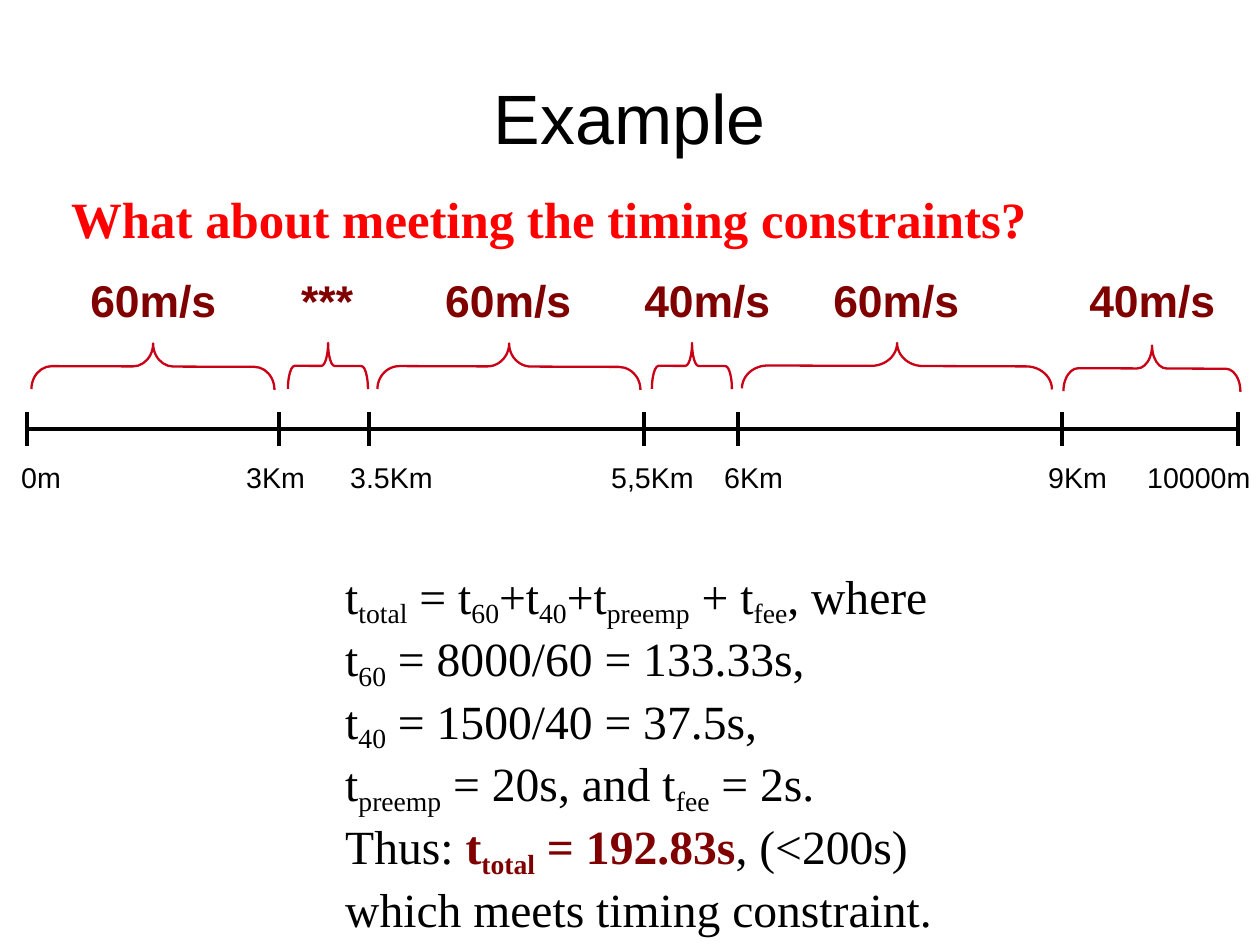
from dataclasses import dataclass
from lxml.etree import SubElement
from pptx import Presentation
from pptx.dml.color import RGBColor
from pptx.enum.shapes import MSO_CONNECTOR, MSO_SHAPE
from pptx.enum.text import MSO_ANCHOR, MSO_AUTO_SIZE, PP_ALIGN
from pptx.oxml.ns import qn
from pptx.slide import Slide
from pptx.util import Pt

PX = 8000
BLACK = RGBColor(0x00, 0x00, 0x00)
RED = RGBColor(0xFF, 0x00, 0x00)
MAROON = RGBColor(0x80, 0x00, 0x00)
CRIMSON = RGBColor(0xC9, 0x00, 0x16)

AXIS = 429
TICK = 17
DEPTH = 46

TITLE = {"name": "Arial", "size": Pt(44)}
SPEED = {"name": "Arial", "size": Pt(28), "bold": True}
PLACE = {"name": "Arial", "size": Pt(18)}
ASK = {"name": "Times New Roman", "size": Pt(32), "bold": True}
BODY = {"name": "Times New Roman", "size": Pt(30), "bold": False}
STRONG = {**BODY, "bold": True}
FRAME = {"word_wrap": False, "auto_size": MSO_AUTO_SIZE.SHAPE_TO_FIT_TEXT}
CENTRED = {"margin_left": 0, "margin_right": 0, "margin_top": 0,
           "margin_bottom": 0, "word_wrap": True,
           "vertical_anchor": MSO_ANCHOR.MIDDLE}


@dataclass
class Mark:
    label: str
    x: int
    left: int
    width: int


@dataclass
class Leg:
    speed: str
    mid: int
    span: int
    left: int
    width: int = 149
    y: int = 366


MARKS = [
    Mark("0m", 27, 10, 64),
    Mark("3Km", 279, 235, 83),
    Mark("3.5Km", 369, 339, 107),
    Mark("5,5Km", 644, 600, 107),
    Mark("6Km", 738, 713, 83),
    Mark("9Km", 1062, 1037, 83),
    Mark("10000m", 1238, 1136, 128),
]
LEGS = [
    Leg("60m/s", 153, 243, 79),
    Leg("***", 328, 80, 290, 76),
    Leg("60m/s", 509, 263, 434),
    Leg("40m/s", 692, 80, 633),
    Leg("60m/s", 897, 310, 822),
    Leg("40m/s", 1152, 177, 1078, y=368),
]
LINES = [
    "t_total_ = t_60_+t_40_+t_preemp_ + t_fee_, where",
    "t_60_ = 8000/60 = 133.33s,",
    "t_40_ = 1500/40 = 37.5s,",
    "t_preemp_ = 20s, and t_fee_ = 2s.",
    "Thus: |t_total_ = 192.83s|, (<200s)",
    "which meets timing constraint.",
]


def apply(item: object, form: dict) -> None:
    for key, value in form.items():
        setattr(item, key, value)


def add_run(para, text: str, form: dict, tint: RGBColor, sub: bool = False) -> None:
    run = para.add_run()
    run.text = text
    apply(run.font, form)
    run.font.color.rgb = tint
    if sub:
        run._r.get_or_add_rPr().set("baseline", "-20000")


def add_box(slide: Slide, left: int, top: int, width: int, height: int,
            frame: dict = FRAME):
    box = slide.shapes.add_textbox(left * PX, top * PX, width * PX, height * PX)
    apply(box.text_frame, frame)
    return box.text_frame


def add_line(slide: Slide, x1: int, y1: int, x2: int, y2: int) -> None:
    line = slide.shapes.add_connector(
        MSO_CONNECTOR.STRAIGHT, x1 * PX, y1 * PX, x2 * PX, y2 * PX)
    line.line.color.rgb = BLACK
    line.line.width = Pt(2.89)
    SubElement(line._element.spPr, qn("a:effectLst"))


def add_mark(slide: Slide, mark: Mark) -> None:
    add_line(slide, mark.x, AXIS - TICK, mark.x, AXIS + TICK)
    frame = add_box(slide, mark.left, 454, mark.width, 43)
    add_run(frame.paragraphs[0], mark.label, PLACE, BLACK)


def add_leg(slide: Slide, leg: Leg) -> None:
    brace = slide.shapes.add_shape(
        MSO_SHAPE.LEFT_BRACE, (leg.mid - DEPTH // 2) * PX,
        (leg.y - leg.span // 2) * PX, DEPTH * PX, leg.span * PX)
    brace.adjustments[0] = leg.span / DEPTH / 12
    brace.rotation = 90.2
    brace.shadow.inherit = False
    brace.fill.background()
    brace.line.color.rgb = CRIMSON
    brace.line.width = Pt(1.45)
    frame = add_box(slide, leg.left, 267, leg.width, 61)
    add_run(frame.paragraphs[0], leg.speed, SPEED, MAROON)


def add_sums(slide: Slide) -> None:
    frame = add_box(slide, 334, 561, 617, 353)
    for row, line in enumerate(LINES):
        para = frame.add_paragraph() if row else frame.paragraphs[0]
        for i, part in enumerate(line.split("|")):
            form, tint = (STRONG, MAROON) if i % 2 else (BODY, BLACK)
            for j, bit in enumerate(part.split("_")):
                add_run(para, bit, form, tint, j % 2 == 1)


def main() -> None:
    deck = Presentation()
    apply(deck, {"slide_width": 1260 * PX, "slide_height": 945 * PX})
    slide = deck.slides.add_slide(deck.slide_layouts[6])

    title = add_box(slide, 63, 38, 1134, 158, CENTRED).paragraphs[0]
    title.alignment = PP_ALIGN.CENTER
    add_run(title, "Example", TITLE, BLACK)
    ask = add_box(slide, 60, 182, 981, 67).paragraphs[0]
    add_run(ask, "What about meeting the timing constraints?", ASK, RED)

    add_line(slide, MARKS[0].x, AXIS, MARKS[-1].x, AXIS)
    for mark in MARKS:
        add_mark(slide, mark)
    for leg in LEGS:
        add_leg(slide, leg)
    add_sums(slide)
    deck.save("out.pptx")


if __name__ == "__main__":
    main()
